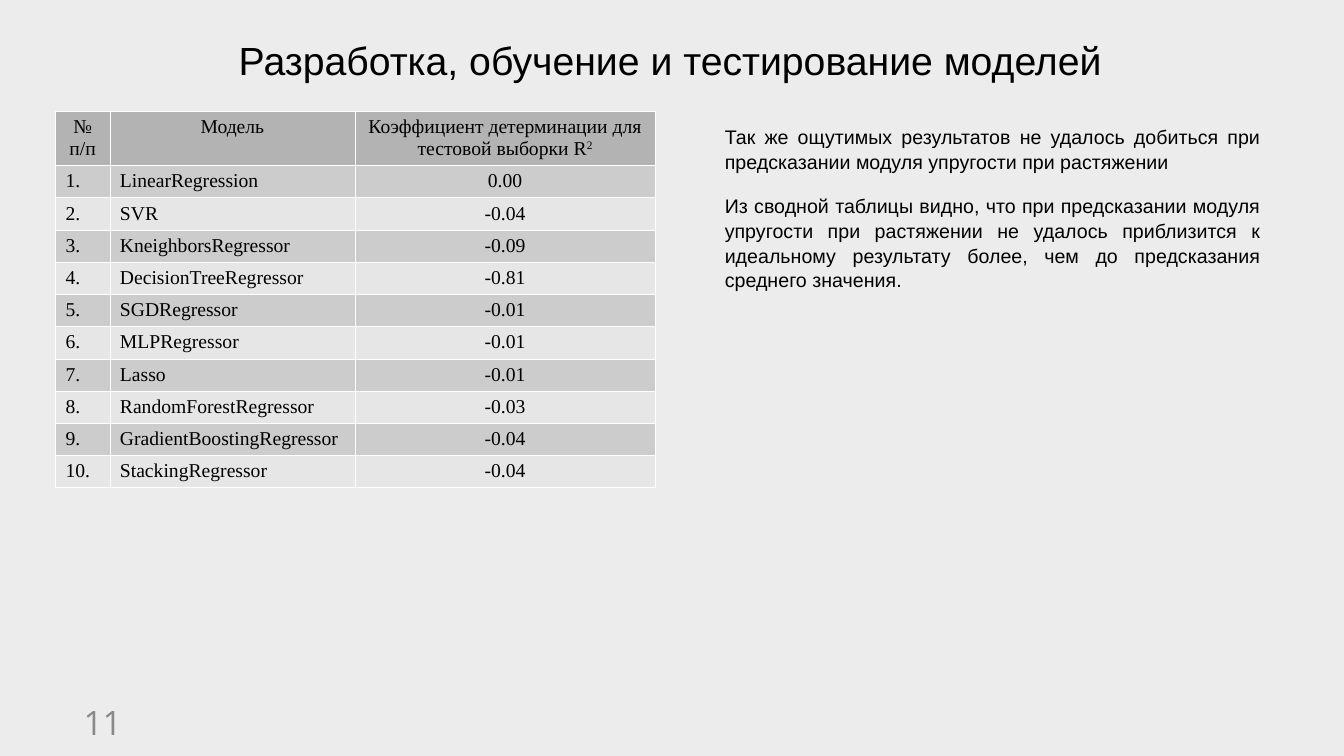
from dataclasses import dataclass

from lxml import etree
from pptx import Presentation
from pptx.dml.color import RGBColor
from pptx.enum.text import MSO_ANCHOR, MSO_AUTO_SIZE, PP_ALIGN
from pptx.oxml.ns import qn
from pptx.util import Inches, Pt

LEFT, CENTER, JUSTIFY = PP_ALIGN.LEFT, PP_ALIGN.CENTER, PP_ALIGN.JUSTIFY
MIDDLE, TOP = MSO_ANCHOR.MIDDLE, MSO_ANCHOR.TOP
NO_AUTOFIT = MSO_AUTO_SIZE.NONE

COLORS = {
    "background": "ECECEC",
    "text": "000000",
    "page_number": "898989",
    "header": "B3B3B3",
    "odd_row": "CCCCCC",
    "even_row": "E6E6E6",
    "border": "FFFFFF",
}
SANS, SERIF, NUMBER_FONT = "Arial", "Times New Roman", "Open Sans"
COLUMN_WIDTHS = (0.54, 2.43, 2.98)
HEADER_HEIGHT, ROW_HEIGHT = 0.54, 0.32
BORDER_WIDTH = Pt(0.06)


@dataclass(frozen=True)
class ModelScore:
    model: str
    r_squared: str


SCORES = (
    ModelScore("LinearRegression", "0.00"),
    ModelScore("SVR", "-0.04"),
    ModelScore("KneighborsRegressor", "-0.09"),
    ModelScore("DecisionTreeRegressor", "-0.81"),
    ModelScore("SGDRegressor", "-0.01"),
    ModelScore("MLPRegressor", "-0.01"),
    ModelScore("Lasso", "-0.01"),
    ModelScore("RandomForestRegressor", "-0.03"),
    ModelScore("GradientBoostingRegressor", "-0.04"),
    ModelScore("StackingRegressor", "-0.04"),
)
HEADERS = ("№ п/п", "Модель", "Коэффициент детерминации для тестовой выборки R")
CONCLUSIONS = (
    "Так же ощутимых результатов не удалось добиться при предсказании модуля "
    "упругости при растяжении",
    "Из сводной таблицы видно, что при предсказании модуля упругости при растяжении "
    "не удалось приблизится к идеальному результату более, чем до предсказания "
    "среднего значения.",
)


def rgb(name: str) -> RGBColor:
    return RGBColor.from_string(COLORS[name])


def add_text(paragraph, text: str, *, font: str = SERIF, size: float = 14,
             color: str = "text", align=LEFT, before: float = 0,
             spacing: float = 1.0, baseline: int = 0) -> None:
    paragraph.alignment = align
    paragraph.space_before = Pt(before)
    paragraph.line_spacing = spacing
    run = paragraph.add_run()
    run.text = text
    run.font.name = font
    run.font.size = Pt(size)
    run.font.bold = False
    run.font.color.rgb = rgb(color)
    if baseline:
        run.font._element.set("baseline", str(baseline))


def place(shape, left: float, top: float, width: float, height: float, anchor=TOP):
    shape.left, shape.top = Inches(left), Inches(top)
    shape.width, shape.height = Inches(width), Inches(height)
    frame = shape.text_frame
    frame.word_wrap = True
    frame.auto_size = NO_AUTOFIT
    frame.vertical_anchor = anchor
    return frame


def add_text_box(slide, left: float, top: float, width: float, height: float, anchor=TOP):
    box = slide.shapes.add_textbox(0, 0, 0, 0)
    return place(box, left, top, width, height, anchor)


def style_cell(cell, fill: str) -> None:
    properties = cell._tc.get_or_add_tcPr()
    for side in ("a:lnL", "a:lnR", "a:lnT", "a:lnB"):
        border = etree.SubElement(properties, qn(side), w=str(int(BORDER_WIDTH)))
        solid = etree.SubElement(border, qn("a:solidFill"))
        etree.SubElement(solid, qn("a:srgbClr"), val=COLORS["border"])
    cell.fill.solid()
    cell.fill.fore_color.rgb = rgb(fill)


def add_score_table(slide) -> None:
    height = HEADER_HEIGHT + ROW_HEIGHT * len(SCORES)
    table = slide.shapes.add_table(
        len(SCORES) + 1, len(COLUMN_WIDTHS), Inches(0.55), Inches(1.1),
        Inches(sum(COLUMN_WIDTHS)), Inches(height),
    ).table
    table.first_row = False
    table.horz_banding = False
    for column, width in zip(table.columns, COLUMN_WIDTHS):
        column.width = Inches(width)

    contents = [HEADERS] + [
        (f"{number}.", score.model, score.r_squared)
        for number, score in enumerate(SCORES, 1)
    ]
    for row_index, texts in enumerate(contents):
        is_header = row_index == 0
        table.rows[row_index].height = Inches(HEADER_HEIGHT if is_header else ROW_HEIGHT)
        fill = "header" if is_header else ("odd_row" if row_index % 2 else "even_row")
        for column_index, text in enumerate(texts):
            cell = table.cell(row_index, column_index)
            style_cell(cell, fill)
            align = CENTER if is_header or column_index == 2 else LEFT
            add_text(cell.text_frame.paragraphs[0], text, align=align)
    r_squared_header = table.cell(0, 2).text_frame.paragraphs[0]
    add_text(r_squared_header, "2", align=CENTER, baseline=30000)


def main() -> None:
    presentation = Presentation()
    presentation.slide_width = Inches(13.33)
    presentation.slide_height = Inches(7.5)
    slide = presentation.slides.add_slide(presentation.slide_layouts[5])
    slide.background.fill.solid()
    slide.background.fill.fore_color.rgb = rgb("background")

    title = place(slide.shapes.title, 0.44, 0.14, 12.41, 0.9, MIDDLE)
    add_text(title.paragraphs[0], "Разработка, обучение и тестирование моделей",
             font=SANS, size=28, align=CENTER)

    page_number = add_text_box(slide, 0.73, 6.96, 0.92, 0.4, MIDDLE)
    add_text(page_number.paragraphs[0], "11", font=NUMBER_FONT, size=24,
             color="page_number")

    add_score_table(slide)

    conclusions = add_text_box(slide, 7.09, 1.18, 5.51, 3.74)
    for index, text in enumerate(CONCLUSIONS):
        paragraph = conclusions.add_paragraph() if index else conclusions.paragraphs[0]
        add_text(paragraph, text, font=SANS, align=JUSTIFY, before=14.2, spacing=1.05)

    presentation.save("out.pptx")


if __name__ == "__main__":
    main()
